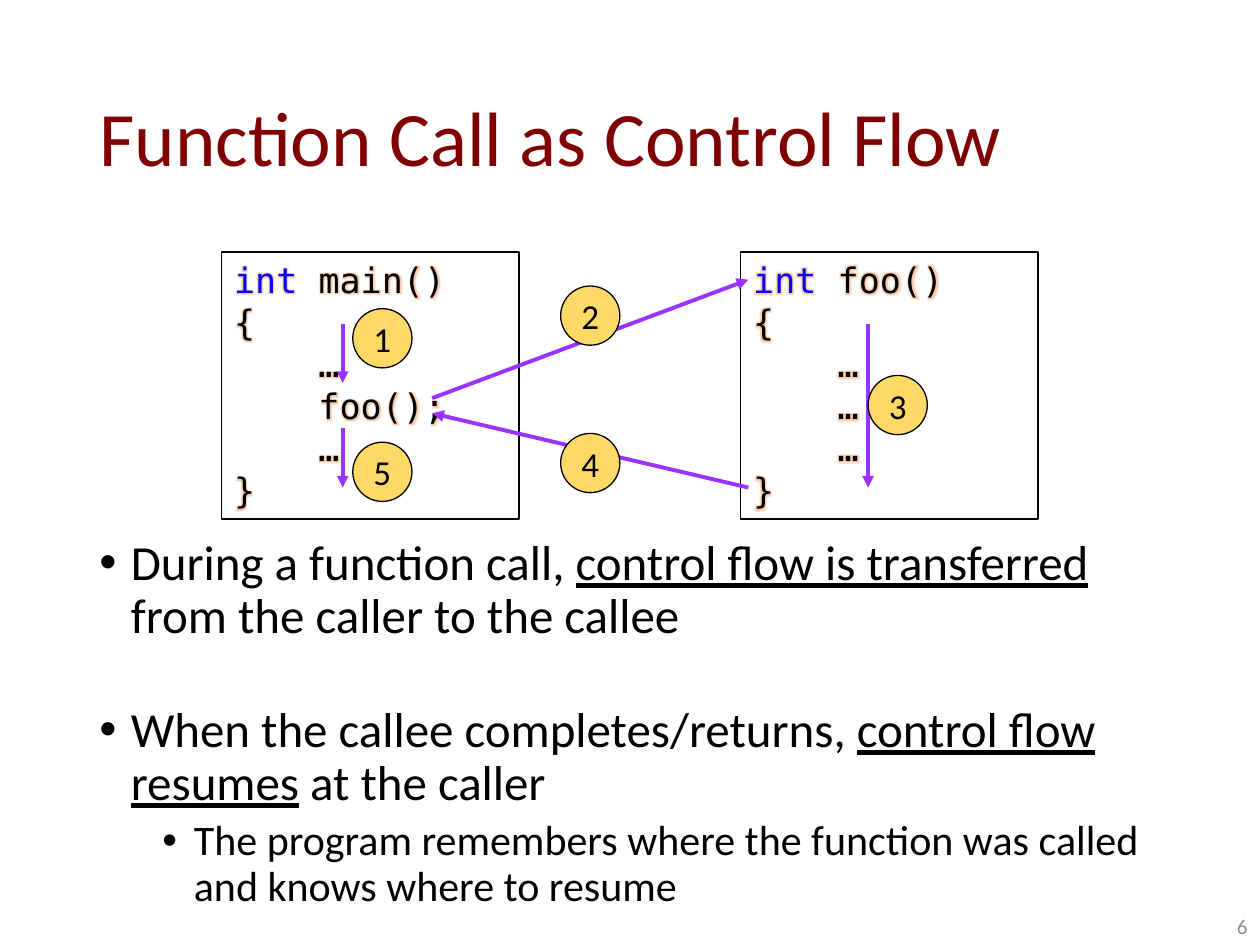
from lxml.etree import SubElement
from pptx import Presentation
from pptx.dml.color import RGBColor
from pptx.enum.shapes import MSO_CONNECTOR as Connector, MSO_SHAPE as Preset
from pptx.enum.text import MSO_ANCHOR as Anchor, PP_ALIGN as Align
from pptx.oxml import parse_xml
from pptx.oxml.ns import nsdecls, qn
from pptx.util import Inches, Pt

COLORS = {
    "title": "800000", "text": "000000", "number": "8C8C8C", "keyword": "0000FF",
    "arrow": "9933FF", "badge": "FFD966", "glow": "ED7D31",
}
SANS, MONO = "Calibri", "DejaVu Sans Mono"
BADGE_SIZE = 0.47
BOX_TOP, BOX_WIDTH, BOX_HEIGHT = 2, 2.36, 2.12


def color(name):
    return RGBColor.from_string(COLORS[name])


def apply(target, values):
    for name, value in values.items():
        setattr(target, name, value)


class SlideBuilder:
    """Draws the elements of a control flow slide in one shared style."""

    def __init__(self, slide):
        self.slide = slide

    def add_run(self, paragraph, text, size, tone="text", font=SANS, underline=None):
        run = paragraph.add_run()
        run.text = text
        apply(run.font, {"name": font, "size": Pt(size), "underline": underline})
        run.font.color.rgb = color(tone)
        return run

    def add_glow(self, run):
        effects = parse_xml(
            f'<a:effectLst {nsdecls("a")}><a:glow rad="63500"><a:srgbClr val="{COLORS["glow"]}">'
            '<a:alpha val="40000"/></a:srgbClr></a:glow></a:effectLst>')
        run.font._element.find(qn("a:solidFill")).addnext(effects)

    def add_text(self, bounds, text, size, tone, anchor, align=Align.LEFT, spacing=1.0):
        frame = self.slide.shapes.add_textbox(*map(Inches, bounds)).text_frame
        apply(frame, {"word_wrap": True, "vertical_anchor": anchor})
        paragraph = frame.paragraphs[0]
        apply(paragraph, {"alignment": align, "line_spacing": spacing})
        self.add_run(paragraph, text, size, tone)

    def add_bullets(self, bounds, items):
        frame = self.slide.shapes.add_textbox(*map(Inches, bounds)).text_frame
        frame.word_wrap = True
        for index, (level, size, before, parts) in enumerate(items):
            paragraph = frame.add_paragraph() if index else frame.paragraphs[0]
            apply(paragraph, {"level": level, "line_spacing": 0.9, "space_before": Pt(before)})
            properties = paragraph._p.get_or_add_pPr()
            properties.set("marL", str(Inches(0.25 + 0.5 * level)))
            properties.set("indent", str(Inches(-0.25)))
            SubElement(properties, qn("a:buFont")).set("typeface", "Arial")
            SubElement(properties, qn("a:buChar")).set("char", "•")
            for text, underline in parts:
                self.add_run(paragraph, text, size, underline=underline)

    def add_outlined(self, preset, bounds):
        shape = self.slide.shapes.add_shape(preset, *map(Inches, bounds))
        shape.shadow.inherit = False
        shape.line.color.rgb = color("text")
        shape.line.width = Pt(0.75)
        return shape

    def add_code(self, left, keyword, lines):
        shape = self.add_outlined(Preset.RECTANGLE, (left, BOX_TOP, BOX_WIDTH, BOX_HEIGHT))
        shape.fill.background()
        frame = shape.text_frame
        apply(frame, {"word_wrap": True, "vertical_anchor": Anchor.TOP})
        for index, line in enumerate(lines):
            paragraph = frame.add_paragraph() if index else frame.paragraphs[0]
            paragraph.alignment = Align.LEFT
            if index == 0:
                self.add_glow(self.add_run(paragraph, keyword, 20, "keyword", MONO))
            self.add_glow(self.add_run(paragraph, line, 20, font=MONO))

    def add_arrow(self, start, end):
        ends = map(Inches, (*start, *end))
        arrow = self.slide.shapes.add_connector(Connector.STRAIGHT, *ends)
        arrow.line.color.rgb = color("arrow")
        arrow.line.width = Pt(2.25)
        SubElement(arrow.line._get_or_add_ln(), qn("a:tailEnd")).set("type", "triangle")
        SubElement(arrow._element.spPr, qn("a:effectLst"))

    def add_badge(self, number, left, top):
        shape = self.add_outlined(Preset.OVAL, (left, top, BADGE_SIZE, BADGE_SIZE))
        shape.fill.solid()
        shape.fill.fore_color.rgb = color("badge")
        frame = shape.text_frame
        margins = {f"margin_{side}": 0 for side in ("left", "top", "right", "bottom")}
        apply(frame, {"vertical_anchor": Anchor.MIDDLE, **margins})
        frame.paragraphs[0].alignment = Align.CENTER
        self.add_run(frame.paragraphs[0], str(number), 20)


def main():
    presentation = Presentation()
    apply(presentation, {"slide_width": Inches(10), "slide_height": Inches(7.5)})
    builder = SlideBuilder(presentation.slides.add_slide(presentation.slide_layouts[6]))

    builder.add_text((0.69, 0.4, 8.62, 1.45), "Function Call as Control Flow", 44, "title",
                     Anchor.MIDDLE, spacing=0.9)
    builder.add_bullets((0.69, 4.22, 8.62, 3.11), [
        (0, 28, 0, [("During a function call, ", None), ("control flow is transferred", True),
                    (" from the caller to the callee", None)]),
        (0, 28, 35, [("When the callee completes/returns, ", None),
                     ("control flow resumes", True), (" at the caller", None)]),
        (1, 24, 5, [("The program remembers where the function was called "
                     "and knows where to resume", None)]),
    ])
    builder.add_text((7.75, 7.1, 2.25, 0.4), "6", 12, "number", Anchor.BOTTOM, Align.RIGHT)

    builder.add_code(1.76, "int", [" main()", "{", "    …", "    foo();", "    …", "}"])
    builder.add_code(5.88, "int", [" foo()", "{", "    …", "    …", "    …", "}"])

    body_top, body_bottom = 2.57, 3.87
    caller_x, callee_x, call_x, entry_x = 2.72, 6.89, 3.43, 5.94
    for start, end in [
        ((caller_x, body_top), (caller_x, 3.04)),
        ((caller_x, 3.4), (caller_x, body_bottom)),
        ((callee_x, body_top), (callee_x, body_bottom)),
        ((call_x, 3.16), (entry_x, 2.22)),
        ((entry_x, body_bottom), (call_x, 3.28)),
    ]:
        builder.add_arrow(start, end)

    badges = [(2.8, 2.45), (4.45, 2.27), (callee_x, 2.98), (4.45, 3.44), (2.8, 3.51)]
    for number, (left, top) in enumerate(badges, 1):
        builder.add_badge(number, left, top)

    presentation.save("out.pptx")


if __name__ == "__main__":
    main()
